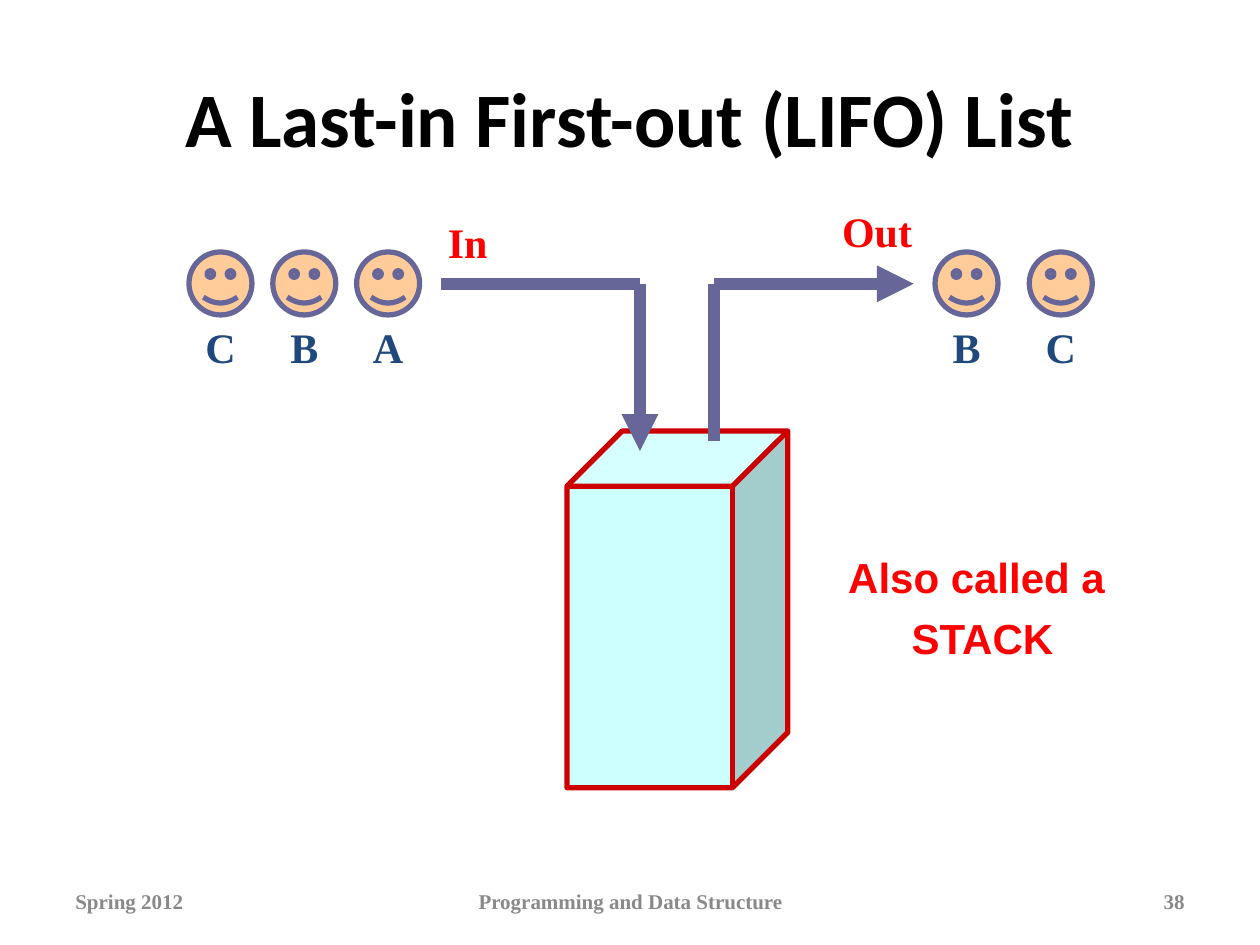
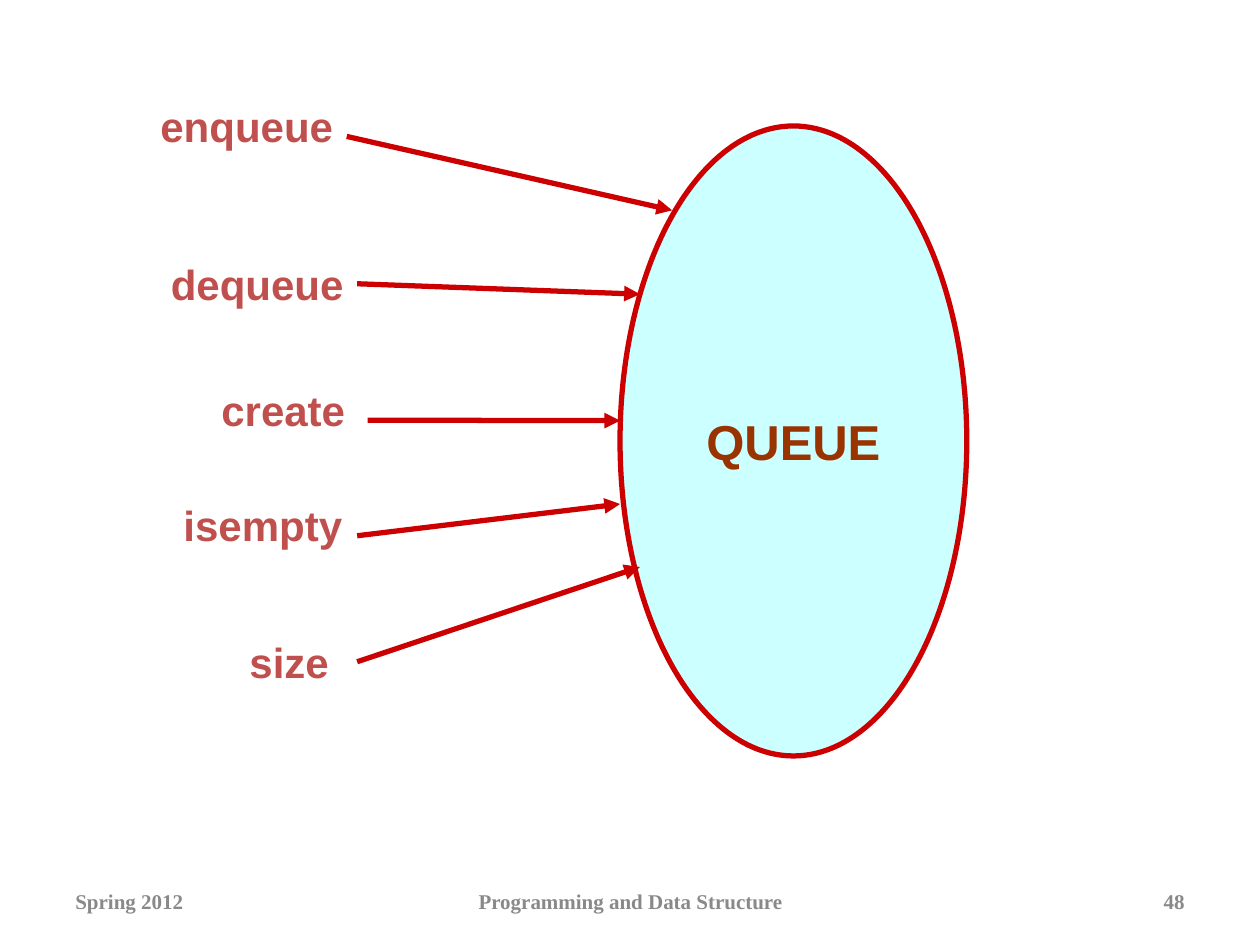
from pptx import Presentation
from pptx.dml.color import RGBColor
from pptx.enum.shapes import MSO_CONNECTOR, MSO_SHAPE
from pptx.enum.text import MSO_ANCHOR, PP_ALIGN
from pptx.oxml.ns import qn
from pptx.util import Cm, Pt
from lxml import etree

# Shared colours, fonts and enum members
BLACK = RGBColor(0x00, 0x00, 0x00)
GREY = RGBColor(0x89, 0x89, 0x89)
RED = RGBColor(0xFF, 0x00, 0x00)
DARK_RED = RGBColor(0xCC, 0x00, 0x00)
BRICK = RGBColor(0xC0, 0x50, 0x4D)
BROWN = RGBColor(0x99, 0x33, 0x00)
NAVY = RGBColor(0x1F, 0x49, 0x7D)
VIOLET = RGBColor(0x66, 0x66, 0x99)
PEACH = RGBColor(0xFF, 0xCC, 0x99)
PALE_CYAN = RGBColor(0xCC, 0xFF, 0xFF)

SANS, SERIF, TITLE_FONT = "Arial", "Times New Roman", "Calibri"
LEFT, CENTER, RIGHT = PP_ALIGN.LEFT, PP_ALIGN.CENTER, PP_ALIGN.RIGHT
TOP, MIDDLE = MSO_ANCHOR.TOP, MSO_ANCHOR.MIDDLE
CUBE, ELLIPSE, SMILEY = MSO_SHAPE.CUBE, MSO_SHAPE.OVAL, MSO_SHAPE.SMILEY_FACE
STRAIGHT = MSO_CONNECTOR.STRAIGHT


def write(tf, lines, size, color, font, align=CENTER, anchor=TOP, gap=0):
    """Fill a text frame, one paragraph per line."""
    tf.vertical_anchor = anchor
    for i, line in enumerate(lines):
        p = tf.paragraphs[0] if i == 0 else tf.add_paragraph()
        p.alignment = align
        if i:
            p.space_before = Pt(gap)
        r = p.add_run()
        r.text = line
        r.font.size = Pt(size)
        r.font.name = font
        r.font.bold = True
        r.font.color.rgb = color


def add_text(shapes, box, lines, size, color, font, **layout):
    tf = shapes.add_textbox(*map(Cm, box)).text_frame
    tf.word_wrap = True
    write(tf, lines, size, color, font, **layout)


def add_solid(shapes, kind, box, fill, outline):
    sp = shapes.add_shape(kind, *map(Cm, box))
    sp.shadow.inherit = False
    sp.fill.solid()
    sp.fill.fore_color.rgb = fill
    sp.line.color.rgb = outline
    sp.line.width = Pt(3)
    return sp


def add_line(shapes, start, end, color, width, arrow=True):
    line = shapes.add_connector(STRAIGHT, *map(Cm, start + end))
    line.line.color.rgb = color
    line.line.width = Pt(width)
    sp_pr = line._element.spPr
    if arrow:
        etree.SubElement(sp_pr.find(qn("a:ln")), qn("a:tailEnd"), type="triangle")
    etree.SubElement(sp_pr, qn("a:effectLst"))


def add_face(slide, x, letter):
    """A smiley with its letter below, grouped."""
    shapes = slide.shapes.add_group_shape().shapes
    face = add_solid(shapes, SMILEY, (x, 5.08, 1.27, 1.27), PEACH, VIOLET)
    face.adjustments[0] = 0.09
    add_text(shapes, (x - 0.2, 6.35, 1.67, 1.27), [letter], 24, NAVY, SERIF)


def add_slide(prs, number):
    """A blank slide with the common footer."""
    slide = prs.slides.add_slide(prs.slide_layouts[6])
    footer = [(1.27, 5.92, "Spring 2012", LEFT),
              (8.69, 8.05, "Programming and Data Structure", CENTER),
              (18.21, 5.92, str(number), RIGHT)]
    for x, width, text, align in footer:
        add_text(slide.shapes, (x, 17.65, width, 1.02), [text], 12, GREY, SERIF,
                 align=align, anchor=MIDDLE)
    return slide


def build_stack(prs):
    slide = add_slide(prs, 38)
    shapes = slide.shapes
    add_text(shapes, (1.27, 0.76, 22.86, 3.18), ["A Last-in First-out (LIFO) List"],
             44, BLACK, TITLE_FONT, anchor=MIDDLE)

    # Container with the ways in and out
    add_solid(shapes, CUBE, (11.43, 8.69, 4.45, 7.19), PALE_CYAN, DARK_RED)
    lane_y, in_x, out_x = 5.72, 12.9, 14.4
    add_line(shapes, (in_x, lane_y), (in_x, 9.09), VIOLET, 7)
    add_line(shapes, (in_x, lane_y), (8.89, lane_y), VIOLET, 7, arrow=False)
    add_line(shapes, (out_x, 8.89), (out_x, lane_y), VIOLET, 7, arrow=False)
    add_line(shapes, (out_x, lane_y), (18.42, lane_y), VIOLET, 7)
    for x, y, word in [(8.26, 4.24, "In"), (16.51, 4.01, "Out")]:
        add_text(shapes, (x, y, 2.34, 1.27), [word], 24, RED, SERIF)

    # Items waiting on the left, items taken out on the right
    for first_x, pitch, letters in [(3.81, 1.69, "CBA"), (18.85, 1.9, "BC")]:
        for i, letter in enumerate(letters):
            add_face(slide, first_x + i * pitch, letter)

    add_text(shapes, (16.31, 11, 6.99, 2.51), ["Also called a ", "STACK"],
             24, RED, SANS, gap=6)


def build_queue(prs):
    shapes = add_slide(prs, 48).shapes
    queue = add_solid(shapes, ELLIPSE, (12.5, 2.54, 6.99, 12.7), PALE_CYAN, DARK_RED)
    queue.text_frame.word_wrap = False
    write(queue.text_frame, ["QUEUE"], 28, BROWN, SANS, anchor=MIDDLE)

    # Operations: name, label left, top and width, arrow start and end
    operations = [
        ("enqueue", 2.97, 1.91, 4.01, (6.99, 2.75), (13.55, 4.24)),
        ("dequeue", 3.18, 5.08, 4.01, (7.2, 5.72), (12.9, 5.93)),
        ("create", 4.02, 7.62, 3.38, (7.41, 8.47), (12.5, 8.48)),
        ("isempty", 3.18, 9.95, 4.24, (7.2, 10.8), (12.5, 10.16)),
        ("size", 4.24, 12.7, 3.18, (7.2, 13.34), (12.9, 11.43)),
    ]
    for name, x, y, width, start, end in operations:
        add_line(shapes, start, end, DARK_RED, 3)
        add_text(shapes, (x, y, width, 1.27), [name], 24, BRICK, SANS)


def main():
    prs = Presentation()
    prs.slide_width, prs.slide_height = Cm(25.4), Cm(19.05)
    build_stack(prs)
    build_queue(prs)
    prs.save("out.pptx")


if __name__ == "__main__":
    main()
